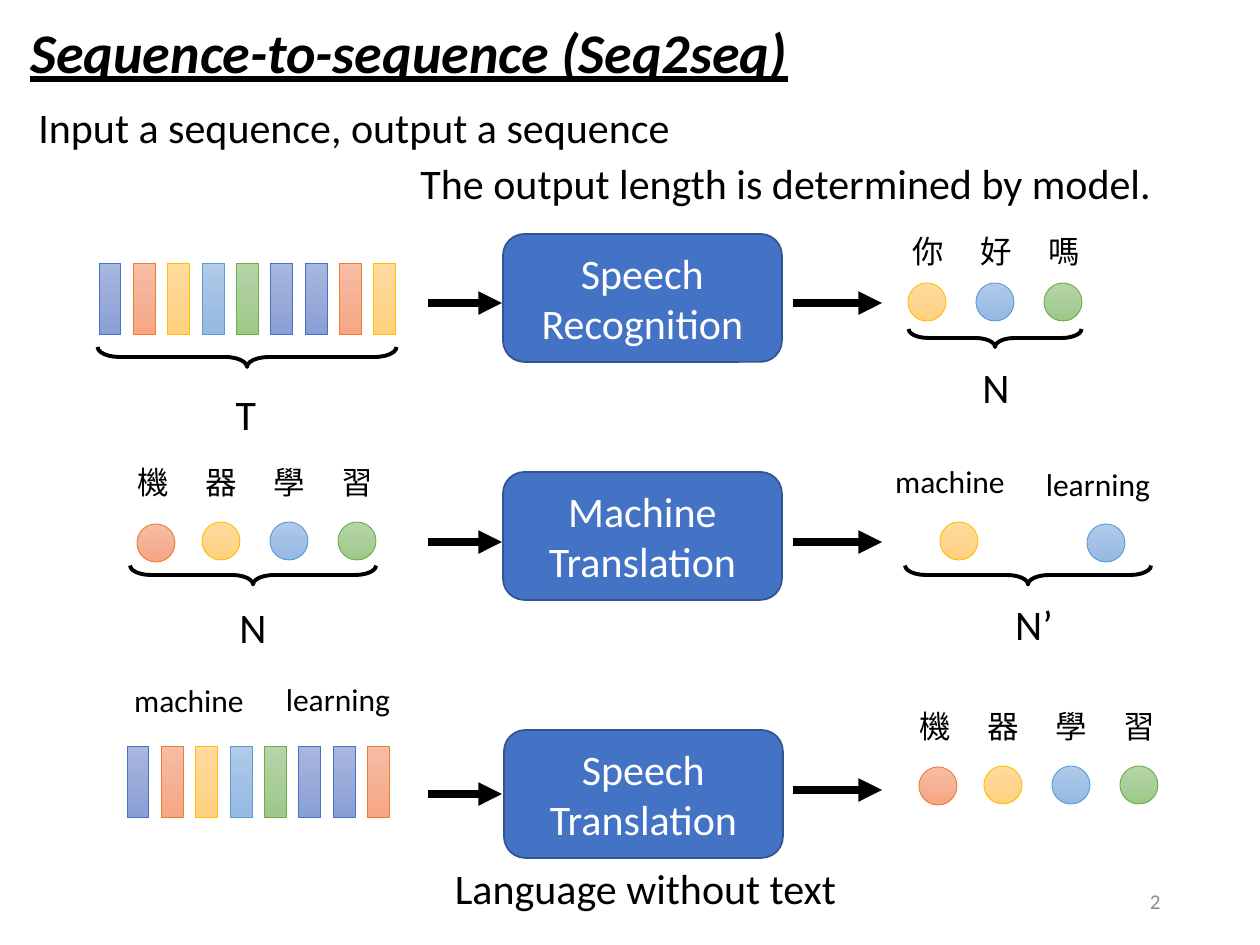
import copy

import pptx
import pptx.dml.color
import pptx.enum.shapes
import pptx.enum.text
import pptx.oxml
import pptx.oxml.ns
import pptx.util

RGBColor = pptx.dml.color.RGBColor
SHAPE = pptx.enum.shapes.MSO_SHAPE
ALIGN = pptx.enum.text.PP_ALIGN
Pt = pptx.util.Pt
qn = pptx.oxml.ns.qn

SCALE = 914400 / 126
FONT = "Calibri"
BLACK = RGBColor(0x00, 0x00, 0x00)
WHITE = RGBColor(0xFF, 0xFF, 0xFF)
GREY = RGBColor(0x8C, 0x8C, 0x8C)
MODEL_FILL = RGBColor(0x44, 0x72, 0xC4)
MODEL_LINE = RGBColor(0x32, 0x54, 0x91)

TOKEN_COLOURS = {
    "indigo": ("A8B7DF", "9AABD9", "889ED7", "4472C4"),
    "orange": ("F7BDA5", "F5B196", "F8A582", "ED7D31"),
    "gold": ("FFDB9E", "FFD590", "FFD07C", "FFC000"),
    "blue": ("B1CBE9", "A3C1E5", "93B9E4", "5B9BD5"),
    "green": ("B5D5A7", "AACE9A", "9CC987", "70AD47"),
}

LEFT, CENTER, RIGHT = ALIGN.LEFT, ALIGN.CENTER, ALIGN.RIGHT
HEADINGS = [
    ("Input a sequence, output a sequence", 26, 95, 804, LEFT),
    ("The output length is determined by model.", 408, 151, 891, LEFT),
    ("Language without text", 357, 856, 577, CENTER),
]
MODELS = [
    (["Speech", "Recognition"], 503, 234),
    (["Machine", "Translation"], 503, 472),
    (["Speech", "Translation"], 504, 730),
]
ARROW_HEIGHTS = [(303, 303), (542, 542), (794, 790)]
ARROW_SPANS = [(428, 502), (793, 882)]

SPEECH = ["indigo", "orange", "gold", "blue", "green", "indigo", "indigo", "orange", "gold"]
SPEECH_ROWS = [(SPEECH, 99, 263), (SPEECH[:8], 127, 746)]
BAR_PITCH = 34.35

CIRCLES = [
    ("gold", 908, 283), ("blue", 976, 283), ("green", 1044, 283),
    ("orange", 137, 524), ("gold", 202, 522), ("blue", 270, 522), ("green", 338, 522),
    ("gold", 940, 522), ("blue", 1087, 524),
    ("orange", 919, 767), ("gold", 984, 766), ("blue", 1052, 766), ("green", 1120, 766),
]
CHARACTER_ROWS = [("你好嗎", 890, 226), ("機器學習", 115, 457), ("機器學習", 897, 701)]
CHARACTER_PITCH = 68
WORDS = [
    ("machine", 854, 456), ("learning", 1002, 459),
    ("machine", 93, 675), ("learning", 242, 674),
]
LENGTHS = [("T", 246, 382), ("N", 996, 355), ("N", 253, 595), ("N’", 1034, 592)]
BRACES = [(247, 357, 299, 20), (995, 338, 173, 18), (253, 575, 246, 19), (1028, 575, 246, 19)]


def px(*lengths):
    return [round(length * SCALE) for length in lengths]


def style_text(frame, lines, size, align, colour):
    frame.word_wrap = True
    frame.text = "\n".join(lines)
    for paragraph in frame.paragraphs:
        paragraph.alignment = align
        paragraph.font.name = FONT
        paragraph.font.size = Pt(size)
        paragraph.font.color.rgb = colour


def add_text(slide, text, x, y, w, h, size, align=CENTER, colour=BLACK):
    frame = slide.shapes.add_textbox(*px(x, y, w, h)).text_frame
    style_text(frame, [text], size, align, colour)
    return frame


def add_outline(slide, kind, x, y, w, h, colour, width):
    shape = slide.shapes.add_shape(kind, *px(x, y, w, h))
    shape.shadow.inherit = False
    shape.line.color.rgb = colour
    shape.line.width = Pt(width)
    return shape


def add_token(slide, kind, colour, x, y, w, h):
    *shades, edge = TOKEN_COLOURS[colour]
    token = add_outline(slide, kind, x, y, w, h, RGBColor.from_string(edge), 0.5)
    token.fill.gradient()
    token.fill.gradient_angle = 270
    stops = token._element.spPr.find(".//" + qn("a:gsLst"))
    stops.insert(1, copy.deepcopy(stops[0]))
    for i, (stop, shade) in enumerate(zip(token.fill.gradient_stops, shades)):
        stop.position = i / 2
        stop.color.rgb = RGBColor.from_string(shade)


def add_arrow(slide, x1, x2, y):
    arrow = slide.shapes.add_connector(
        pptx.enum.shapes.MSO_CONNECTOR.STRAIGHT, *px(x1, y, x2, y))
    arrow.line.color.rgb = BLACK
    arrow.line.width = Pt(4.5)
    head = pptx.oxml.parse_xml(f'<a:tailEnd {pptx.oxml.ns.nsdecls("a")} type="triangle"/>')
    arrow.line._get_or_add_ln().append(head)
    arrow._element.spPr.append(
        pptx.oxml.parse_xml(f'<a:effectLst {pptx.oxml.ns.nsdecls("a")}/>'))


def add_brace(slide, center_x, center_y, span, depth):
    brace = add_outline(slide, SHAPE.RIGHT_BRACE, center_x - depth / 2,
                        center_y - span / 2, depth, span, BLACK, 2.25)
    brace.rotation = 90
    brace.adjustments[0] = 1.1
    brace.fill.background()


def main():
    deck = pptx.Presentation()
    deck.slide_width, deck.slide_height = px(1260, 945)
    slide = deck.slides.add_slide(deck.slide_layouts[6])

    title = add_text(slide, "Sequence-to-sequence (Seq2seq)", 18, 11, 907, 81, 32, LEFT)
    title_font = title.paragraphs[0].font
    title_font.bold = title_font.italic = title_font.underline = True
    for text, x, y, w, align in HEADINGS:
        add_text(slide, text, x, y, w, 63, 24, align)

    for lines, x, y in MODELS:
        model = add_outline(slide, SHAPE.ROUNDED_RECTANGLE, x, y, 279, 128, MODEL_LINE, 1)
        model.fill.solid()
        model.fill.fore_color.rgb = MODEL_FILL
        model.text_frame.vertical_anchor = pptx.enum.text.MSO_ANCHOR.MIDDLE
        style_text(model.text_frame, lines, 24, CENTER, WHITE)

    for heights in ARROW_HEIGHTS:
        for (start, end), y in zip(ARROW_SPANS, heights):
            add_arrow(slide, start, end, y)

    for colours, left, y in SPEECH_ROWS:
        for i, colour in enumerate(colours):
            add_token(slide, SHAPE.RECTANGLE, colour, left + i * BAR_PITCH, y, 22, 72)
    for colour, x, y in CIRCLES:
        add_token(slide, SHAPE.OVAL, colour, x, y, 38, 38)

    for brace in BRACES:
        add_brace(slide, *brace)
    for label, center, y in LENGTHS:
        add_text(slide, label, center - 61, y, 122, 63, 24)
    for characters, left, y in CHARACTER_ROWS:
        for i, character in enumerate(characters):
            add_text(slide, character, left + i * CHARACTER_PITCH, y, 77, 50, 18)
    for word, x, y in WORDS:
        add_text(slide, word, x, y, 192, 50, 18)

    number = add_text(slide, "2", 890, 876, 283, 50, 12, RIGHT, GREY)
    number.vertical_anchor = pptx.enum.text.MSO_ANCHOR.MIDDLE
    deck.save("out.pptx")


if __name__ == "__main__":
    main()
